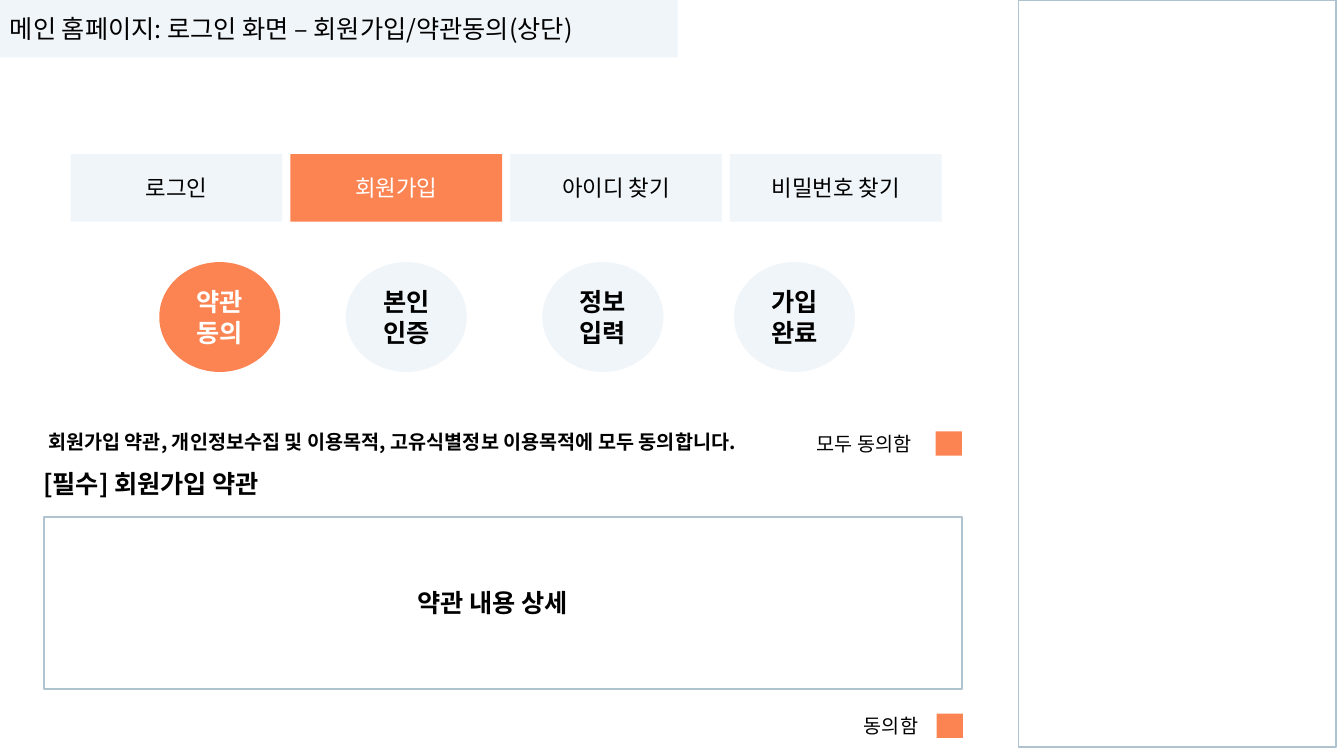
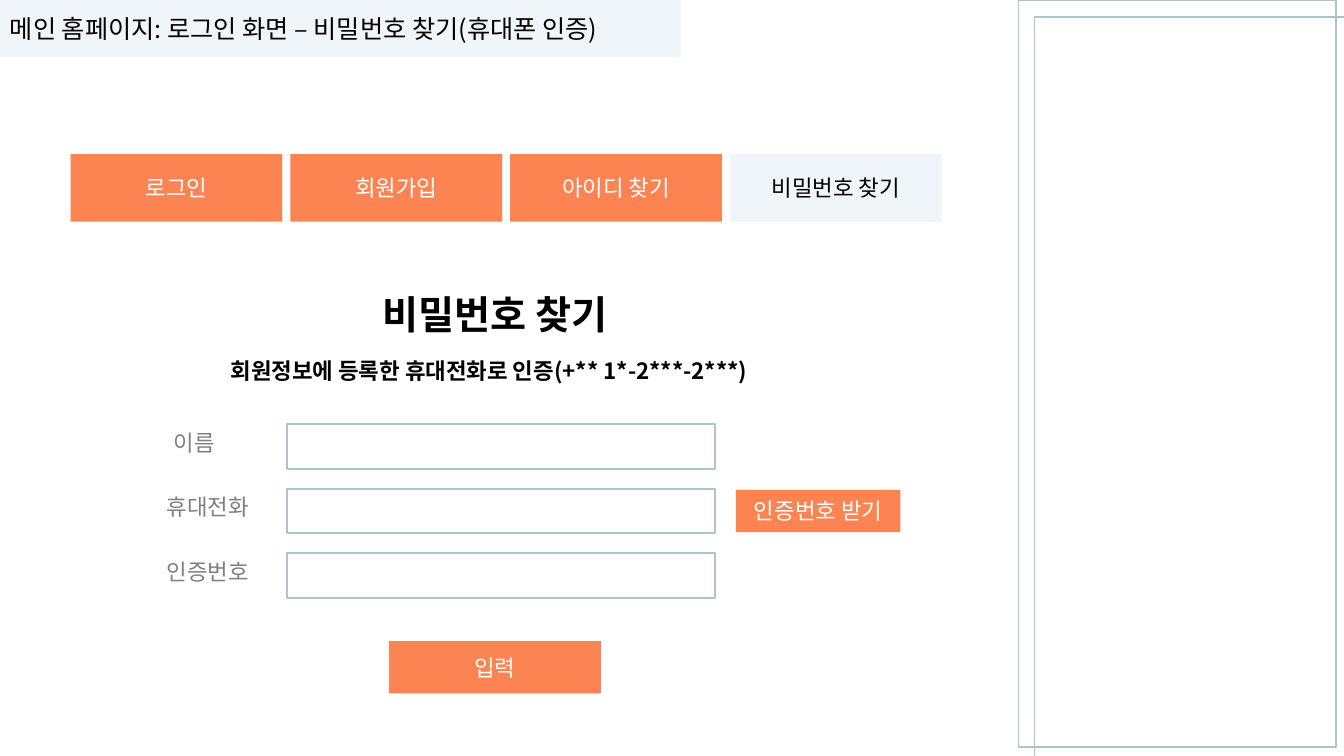
import pptx
import pptx.dml.color
import pptx.enum.shapes
import pptx.enum.text
import pptx.oxml.ns
import pptx.util
from lxml import etree

Inches = pptx.util.Inches
Pt = pptx.util.Pt
RGBColor = pptx.dml.color.RGBColor
MSO_SHAPE = pptx.enum.shapes.MSO_SHAPE
PP_ALIGN = pptx.enum.text.PP_ALIGN
MSO_ANCHOR = pptx.enum.text.MSO_ANCHOR

PALE = RGBColor(0xF0, 0xF5, 0xF9)
ORANGE = RGBColor(0xFC, 0x84, 0x53)
EDGE = RGBColor(0xAF, 0xC3, 0xCE)
BLACK = RGBColor(0, 0, 0)
WHITE = RGBColor(0xFF, 0xFF, 0xFF)
GRAY = RGBColor(0x80, 0x80, 0x80)
FONT = "Noto Sans CJK KR"
TABS = ("로그인", "회원가입", "아이디 찾기", "비밀번호 찾기")


def write(sp, lines, size, color=BLACK, bold=False, align=PP_ALIGN.CENTER):
    """Fill a shape with middle-anchored text, one paragraph per line."""
    tf = sp.text_frame
    tf.word_wrap = True
    tf.vertical_anchor = MSO_ANCHOR.MIDDLE
    for i, line in enumerate(lines.split("\n")):
        p = tf.add_paragraph() if i else tf.paragraphs[0]
        p.alignment = align
        r = p.add_run()
        r.text = line
        r.font.size = Pt(size)
        r.font.bold = bold
        r.font.name = FONT
        r.font.color.rgb = color
        ea = etree.SubElement(r.font._element, pptx.oxml.ns.qn("a:ea"))
        ea.set("typeface", FONT)


def add_block(slide, x, y, w, h, fill=None, line=None, kind=MSO_SHAPE.RECTANGLE):
    """Add a flat shape with an optional fill and an optional outline width."""
    sp = slide.shapes.add_shape(kind, Inches(x), Inches(y), Inches(w), Inches(h))
    sp.shadow.inherit = False
    if fill is None:
        sp.fill.background()
    else:
        sp.fill.solid()
        sp.fill.fore_color.rgb = fill
    if line is None:
        sp.line.fill.background()
    else:
        sp.line.color.rgb = EDGE
        sp.line.width = Pt(line)
    return sp


def add_label(slide, x, y, w, h, text, size, color=BLACK, bold=False, align=PP_ALIGN.LEFT):
    """Add a text box."""
    sp = slide.shapes.add_textbox(Inches(x), Inches(y), Inches(w), Inches(h))
    write(sp, text, size, color, bold, align)


def add_button(slide, x, y, w, h, text, size=16, active=True, bold=False, kind=MSO_SHAPE.RECTANGLE):
    """Add an orange button with white text, or a pale one with black text."""
    sp = add_block(slide, x, y, w, h, ORANGE if active else PALE, kind=kind)
    write(sp, text, size, WHITE if active else BLACK, bold)


def add_frame(slide, title, band_w, orange_tabs):
    """Add the title band, the notes panel and the row of tabs."""
    band = add_block(slide, 0, 0, band_w, 0.57, PALE)
    write(band, title, 18, align=PP_ALIGN.LEFT)
    add_block(slide, 10.1, 0, 3.15, 7.41, line=1)
    for i, tab in enumerate(TABS):
        add_button(slide, 0.7 + 2.18 * i, 1.53, 2.1, 0.67, tab, active=tab in orange_tabs)


def add_steps(slide, x, y):
    """Add the circles of the sign-up steps, the first one active."""
    steps = ((0, "약관동의"), (1.85, "본인인증"), (3.8, "정보입력"), (5.7, "가입\n완료"))
    for dx, text in steps:
        add_button(slide, x + dx, y, 1.2, 1.09, text, 18, dx == 0, True,
                   MSO_SHAPE.FLOWCHART_CONNECTOR)


def add_consent(slide, right, y, w, text):
    """Add a consent label and its check square, ending at the right edge."""
    add_block(slide, right - 0.26, y, 0.26, 0.24, ORANGE)
    add_label(slide, right - 0.29 - w, y - 0.13, w, 0.5, text, 14)


def add_terms(slide, x, y, w, h):
    """Add the terms box with its headings above and consents at the right."""
    add_block(slide, x, y, w, h, line=1.5)
    add_label(slide, x - 0.06, y - 1.06, 7.8, 0.62,
              "회원가입 약관, 개인정보수집 및 이용목적, 고유식별정보 이용목적에 모두 동의합니다.", 14, bold=True)
    add_label(slide, x - 0.11, y - 0.64, 2.6, 0.62, "[필수] 회원가입 약관", 18, bold=True)
    add_label(slide, x + 3.6, y + 0.54, 1.99, 0.62, "약관 내용 상세", 18, bold=True)
    add_consent(slide, x + w, y - 0.85, 1.25, "모두 동의함")
    add_consent(slide, x + w + 0.01, y + h + 0.24, 0.79, "동의함")


def add_form(slide, x, y, w, h):
    """Add the verification fields with labels, a request button and a submit button."""
    pitch = 0.64
    rows = ((-1.55, "이름"), (-1.42, "휴대전화"), (-1.42, "인증번호"))
    for i, (dx, text) in enumerate(rows):
        top = y + pitch * i
        add_block(slide, x, top, w, h, line=1.5)
        add_label(slide, x + dx, top - 0.06, 1.26, 0.48, text, 16, GRAY, align=PP_ALIGN.CENTER)
    add_button(slide, x + w + 0.21, y + pitch + 0.01, 1.63, 0.42, "인증번호 받기")
    add_button(slide, x + 1.01, y + 2.15, 2.1, 0.52, "입력")


def build_terms_slide(slide):
    """Build the sign-up screen with the terms of use."""
    add_frame(slide, "메인 홈페이지: 로그인 화면 – 회원가입/약관동의(상단)", 6.72, TABS[1:2])
    add_steps(slide, 1.58, 2.6)
    add_terms(slide, 0.44, 5.13, 9.1, 1.71)


def build_password_slide(slide):
    """Build the password recovery screen with phone verification."""
    add_frame(slide, "메인 홈페이지: 로그인 화면 – 비밀번호 찾기(휴대폰 인증)", 6.75, TABS[:3])
    add_block(slide, 10.26, 0.17, 3.15, 7.41, line=1)
    add_label(slide, 3.6, 2.87, 2.62, 0.48, "비밀번호 찾기", 28, bold=True, align=PP_ALIGN.CENTER)
    add_label(slide, 1.66, 3.44, 6.38, 0.48, "회원정보에 등록한 휴대전화로 인증(+** 1*-2***-2***)",
              16, bold=True, align=PP_ALIGN.CENTER)
    add_form(slide, 2.85, 4.21, 4.24, 0.44)


def main():
    """Build both slides and save the deck."""
    prs = pptx.Presentation()
    prs.slide_width = Inches(13.33)
    prs.slide_height = Inches(7.5)
    for build in (build_terms_slide, build_password_slide):
        build(prs.slides.add_slide(prs.slide_layouts[6]))
    prs.save("out.pptx")


if __name__ == "__main__":
    main()
